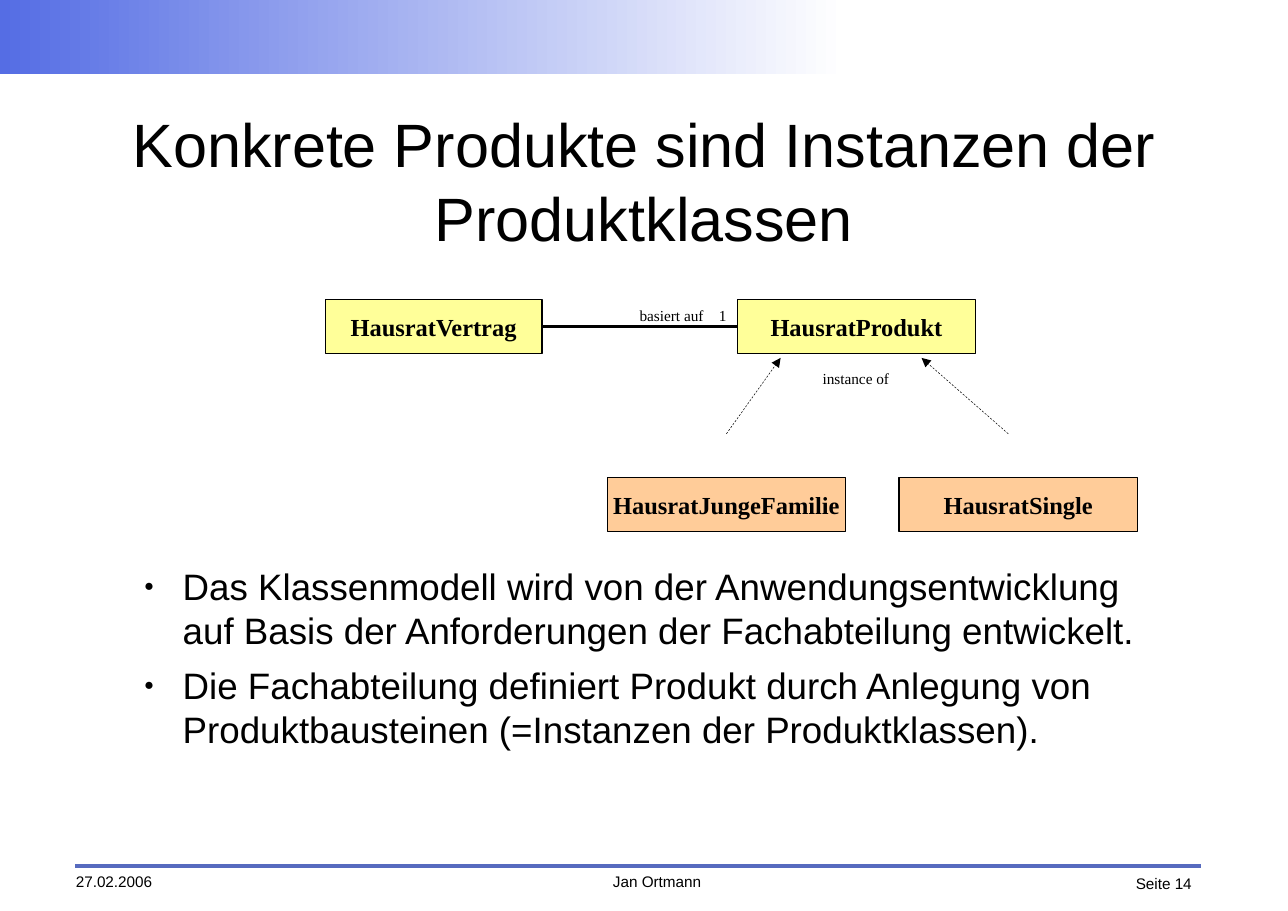
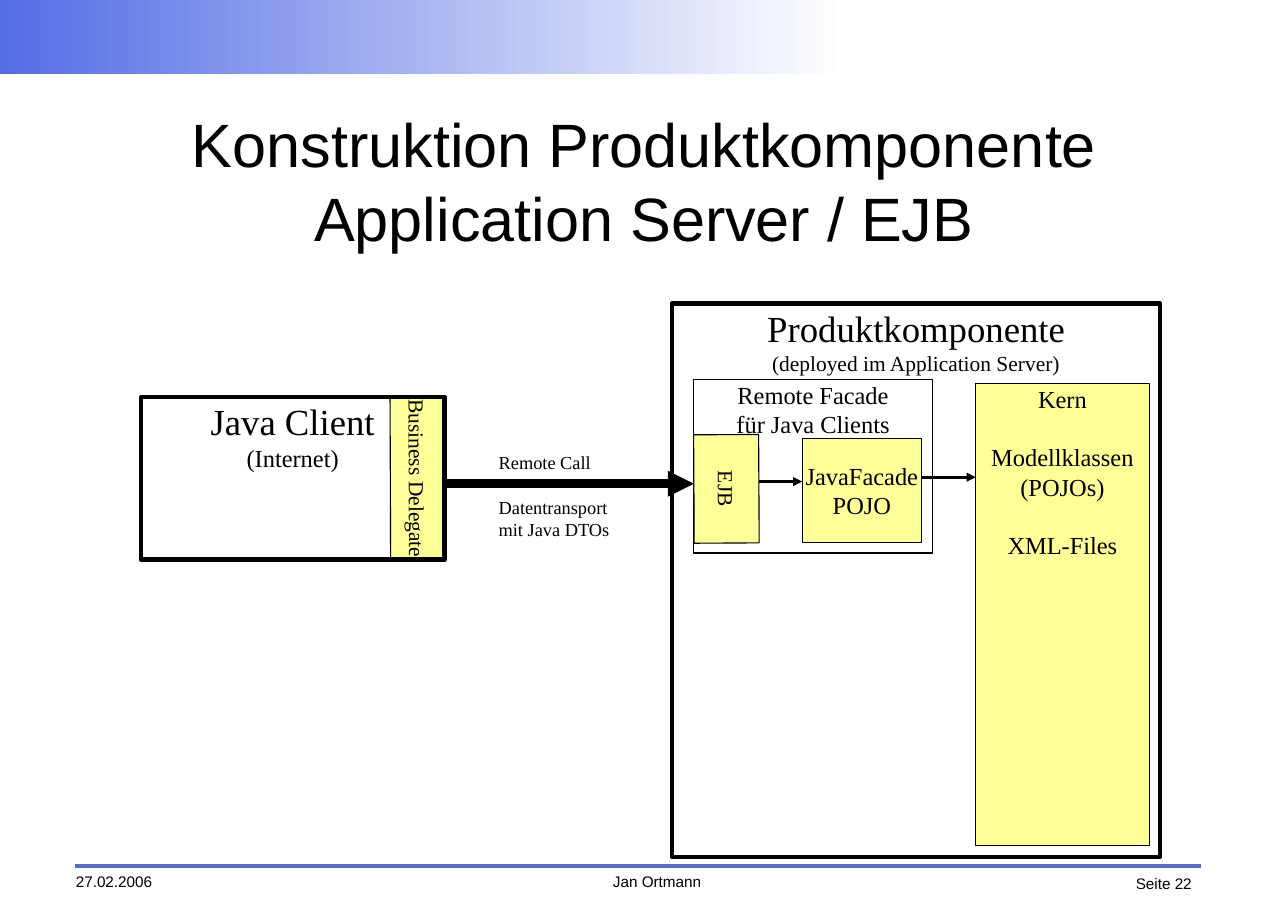
from lxml import etree
from pptx import Presentation, util as u
from pptx.dml.color import RGBColor
from pptx.enum import dml, shapes, text
from pptx.oxml.ns import qn

COLS, ROWS = 29.7, 21
INK = {"black": "000000", "white": "FFFFFF", "band": "556DE4",
       "rule": "576BBF", "yellow": "FFFF99", "orange": "FFCC99"}
SANS, SERIF = "Arial", "Times New Roman"
LEFT, MID, RIGHT = text.PP_ALIGN.LEFT, text.PP_ALIGN.CENTER, text.PP_ALIGN.RIGHT
TOP, CORE = text.MSO_ANCHOR.TOP, text.MSO_ANCHOR.MIDDLE

BAND = (0, 0, 19.5, 1.7)
RULE = (1.73, 19.97, 27.7, 19.97)
TITLE = (3.02, 2.42, 23.65, 3.47)
BODY = (3.02, 13, 23.65, 5.24)
FOOT = [
    ((1.75, 20.1, 2.98, 0.5), "27.02.2006", LEFT),
    ((13.1, 20.1, 4.1, 0.5), "Jan Ortmann", MID),
    ((25.5, 20.15, 1.98, 0.5), "Seite {}", RIGHT),
]

SLIDES = [
    {
        "page": 14,
        "title": "Konkrete Produkte sind Instanzen der Produktklassen",
        "boxes": [
            {"at": (x, y, w, 1.25), "fill": hue, "lines": [(name, 16)], "bold": True}
            for x, y, w, hue, name in [
                (7.5, 6.9, 5, "yellow", "HausratVertrag"),
                (17, 6.9, 5.5, "yellow", "HausratProdukt"),
                (14, 11, 5.5, "orange", "HausratJungeFamilie"),
                (20.73, 11, 5.5, "orange", "HausratSingle"),
            ]
        ],
        "labels": [
            ((14.75, 7.05, 1.7, 0.41), [("basiert auf", 10)], LEFT),
            ((16.25, 7.05, 0.5, 0.41), [("1", 10)], RIGHT),
            ((18.72, 8.5, 2.03, 0.41), [("instance of", 10)], MID),
        ],
        "lines": [
            {"at": (12.5, 7.52, 17, 7.52)},
            {"at": (16.75, 10, 18, 8.25), "head": True, "dash": True, "wide": 0.35},
            {"at": (23.25, 10, 21.25, 8.25), "head": True, "dash": True, "wide": 0.35},
        ],
        "points": [
            "Das Klassenmodell wird von der Anwendungsentwicklung auf Basis "
            "der Anforderungen der Fachabteilung entwickelt.",
            "Die Fachabteilung definiert Produkt durch Anlegung von "
            "Produktbausteinen (=Instanzen der Produktklassen).",
        ],
    },
    {
        "page": 22,
        "title": "Konstruktion Produktkomponente\vApplication Server / EJB",
        "boxes": [
            {"at": (15.5, 7, 11.25, 12.75), "wide": 2.83, "pad": 0.05, "anchor": TOP,
             "lines": [("Produktkomponente", 24), ("(deployed im Application Server)", 14)]},
            {"at": (16, 8.75, 5.5, 4), "anchor": TOP,
             "lines": [("Remote Facade", 16), ("für Java Clients", 16)]},
            {"at": (7.75, 10.4, 3.75, 1.25), "fill": "yellow", "turn": 89.8,
             "lines": [("Business Delegate", 14)]},
            {"at": (22.5, 8.85, 4, 10.65), "fill": "yellow", "anchor": TOP,
             "lines": [("Kern", 16), ("Modellklassen", 16, 19),
                       ("(POJOs)", 16), ("XML-Files", 16, 19)]},
            {"at": (3.25, 9.15, 7, 3.75), "wide": 2.83, "pad": 0.05, "anchor": TOP,
             "lines": [("Java Client", 24), ("(Internet)", 16)]},
            {"at": (15.5, 10.52, 2.5, 1.5), "fill": "yellow", "turn": 89.7,
             "lines": [("EJB", 14)]},
            {"at": (18.5, 10.1, 2.75, 2.4), "fill": "yellow",
             "lines": [("JavaFacade", 16), ("POJO", 16)]},
        ],
        "labels": [
            ((11.5, 10.4, 2.8, 0.48), [("Remote Call", 12)], LEFT),
            ((11.5, 11.43, 2.8, 0.97), [("Datentransport", 12), ("mit Java DTOs", 12)], LEFT),
        ],
        "lines": [
            {"at": (10.25, 11.15, 16, 11.15), "head": True, "wide": 5.67},
            {"at": (17.5, 11.1, 18.5, 11.1), "head": True},
            {"at": (21.25, 11, 22.5, 11), "head": True},
        ],
        "points": [],
    },
]


def grid(at):
    return [u.Cm(n) for n in at]


def tint(name):
    return RGBColor.from_string(INK[name])


def write(shape, lines, font=SERIF, align=MID, anchor=TOP, pad=0, bold=False):
    frame = shape.text_frame
    frame.word_wrap = True
    frame.vertical_anchor = anchor
    frame.margin_left = frame.margin_right = u.Cm(pad)
    frame.margin_top = frame.margin_bottom = u.Cm(pad)
    frame.text = "\n".join(line[0] for line in lines)
    for para, (_, size, *gap) in zip(frame.paragraphs, lines):
        para.alignment = align
        if gap:
            para.space_before = u.Pt(gap[0])
        for run in para.runs:
            run.font.name = font
            run.font.size = u.Pt(size)
            run.font.bold = bold
            run.font.color.rgb = tint("black")
    return frame


def label(slide, at, lines, **style):
    return write(slide.shapes.add_textbox(*grid(at)), lines, **style)


def rect(slide, at):
    shape = slide.shapes.add_shape(shapes.MSO_SHAPE.RECTANGLE, *grid(at))
    shape.shadow.inherit = False
    return shape


def box(slide, at, lines, fill=None, wide=0, turn=0, anchor=CORE, **style):
    shape = rect(slide, at)
    shape.rotation = turn
    if fill:
        shape.fill.solid()
        shape.fill.fore_color.rgb = tint(fill)
    else:
        shape.fill.background()
    shape.line.color.rgb = tint("black")
    shape.line.width = u.Pt(wide)
    write(shape, lines, anchor=anchor, **style)


def link(slide, at, hue="black", wide=0, head=False, dash=False):
    line = slide.shapes.add_connector(shapes.MSO_CONNECTOR.STRAIGHT, *grid(at))
    line.line.color.rgb = tint(hue)
    line.line.width = u.Pt(wide)
    if dash:
        line.line.dash_style = dml.MSO_LINE.DASH
    props = line._element.spPr
    if head:
        etree.SubElement(props.find(qn("a:ln")), qn("a:tailEnd"), type="triangle")
    etree.SubElement(props, qn("a:effectLst"))


def bullet(para):
    para.space_after = u.Pt(7.1)
    props = para._p.get_or_add_pPr()
    props.set("marL", str(u.Inches(0.47)))
    props.set("indent", str(u.Inches(-0.35)))
    hue = etree.SubElement(props, qn("a:buClr"))
    etree.SubElement(hue, qn("a:srgbClr"), val=INK["black"])
    etree.SubElement(props, qn("a:buSzPct"), val="45000")
    etree.SubElement(props, qn("a:buFont"), typeface=SANS)
    etree.SubElement(props, qn("a:buChar"), char="●")


def base(slide, title, page):
    band = rect(slide, BAND)
    band.line.fill.background()
    band.fill.gradient()
    band.fill.gradient_angle = 180
    for stop, hue in zip(band.fill.gradient_stops, ("white", "band")):
        stop.color.rgb = tint(hue)
    link(slide, RULE, "rule", 2.83)
    for at, words, align in FOOT:
        label(slide, at, [(words.format(page), 10)], font=SANS, align=align)
    label(slide, TITLE, [(title, 40)], font=SANS, anchor=CORE)


def main():
    deck = Presentation()
    deck.slide_width, deck.slide_height = grid((COLS, ROWS))
    for data in SLIDES:
        slide = deck.slides.add_slide(deck.slide_layouts[6])
        base(slide, data["title"], data["page"])
        for item in data["boxes"]:
            box(slide, **item)
        for at, lines, align in data["labels"]:
            label(slide, at, lines, align=align)
        for item in data["lines"]:
            link(slide, **item)
        if data["points"]:
            lines = [(point, 24) for point in data["points"]]
            frame = label(slide, BODY, lines, font=SANS, align=LEFT)
            for para in frame.paragraphs:
                bullet(para)
    deck.save("out.pptx")


if __name__ == "__main__":
    main()
